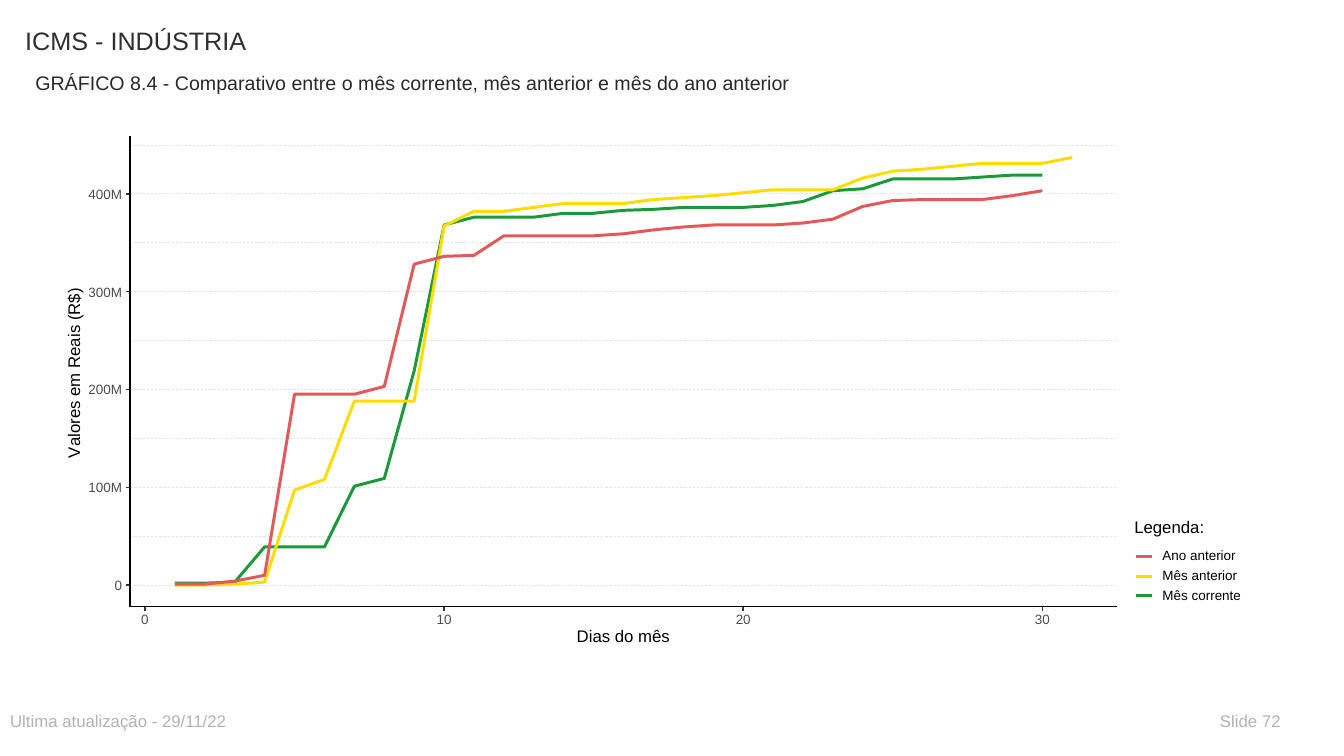
from lxml import etree
from pptx import Presentation
from pptx.chart.data import CategoryChartData
from pptx.dml.color import RGBColor
from pptx.enum.chart import XL_CHART_TYPE as ChartType, XL_TICK_LABEL_POSITION as LabelPosition
from pptx.enum.chart import XL_TICK_MARK as TickMark
from pptx.enum.dml import MSO_LINE_DASH_STYLE as Dash
from pptx.enum.shapes import MSO_CONNECTOR as Connector
from pptx.enum.text import MSO_ANCHOR as Anchor, MSO_AUTO_SIZE as AutoSize, PP_ALIGN as Align
from pptx.oxml.ns import qn
from pptx.util import Inches, Pt

THEME = {
    "font": "Arial",
    "title": (18, "2D2E2D"),
    "subtitle": (14, "292929"),
    "footer": (12, "B2B2B2"),
    "heading": (12, "000000"),
    "legend": (9.6, "000000"),
    "tick": (9.6, "4D4D4D"),
    "axis": (1.16, "000000"),
    "mark": (1.16, "333333"),
    "grid": (0.43, "E3E2E1"),
    "Ano anterior": (2.13, "E35959"),
    "Mês anterior": (2.13, "FFDC00"),
    "Mês corrente": (2.13, "1A9938"),
}
CHART_LEFT, CHART_TOP, CHART_WIDTH, CHART_HEIGHT = 0.6, 1, 11.81, 5.5
PLOT_LEFT, PLOT_TOP, PLOT_WIDTH, PLOT_HEIGHT = 1.29, 1.35, 9.79, 4.67
PLOT_RIGHT, PLOT_BOTTOM = PLOT_LEFT + PLOT_WIDTH, PLOT_TOP + PLOT_HEIGHT
DAYS, LOWEST, HIGHEST = 33, -22, 459

REVENUE = {
    "Mês corrente": [2, 2, 3, 39, 39, 39, 101, 109, 219, 368, 376, 376, 376, 380, 380, 383,
                     384, 386, 386, 386, 388, 392, 403, 405, 415, 415, 415, 417, 419, 419],
    "Mês anterior": [0, 0, 1, 3, 97, 108, 188, 188, 188, 367, 382, 382, 386, 390, 390, 390,
                     394, 396, 398, 401, 404, 404, 404, 416, 423, 425, 428, 431, 431, 431, 437],
    "Ano anterior": [1, 1, 4, 10, 195, 195, 195, 203, 328, 336, 337, 357, 357, 357, 357, 359,
                     363, 366, 368, 368, 368, 370, 374, 387, 393, 394, 394, 394, 398, 403],
}


def style(target, role):
    size, color = THEME[role]
    if hasattr(target, "width"):
        target.width = Pt(size)
    else:
        target.size, target.name, target.bold = Pt(size), THEME["font"], False
    target.color.rgb = RGBColor.from_string(color)


def place(parent, values, inner=False):
    layout = parent.find(qn("c:layout"))
    if layout is None:
        layout = etree.Element(qn("c:layout"))
        parent.insert(0, layout)
    manual = etree.SubElement(layout, qn("c:manualLayout"))
    if inner:
        etree.SubElement(manual, qn("c:layoutTarget"), val="inner")
    for key in ("xMode", "yMode"):
        etree.SubElement(manual, qn(f"c:{key}"), val="edge")
    for key, value in values.items():
        etree.SubElement(manual, qn(f"c:{key}"), val=f"{value:.4f}")


deck = Presentation()
deck.slide_width, deck.slide_height = Inches(13.33), Inches(7.5)
slide = deck.slides.add_slide(deck.slide_layouts[4])
holders = {holder.placeholder_format.idx: holder for holder in slide.placeholders}

for idx, role, wording, left, top, width, height in [
    (0, "title", "ICMS - INDÚSTRIA", 0.15, 0.2, 8, 0.59),
    (1, "subtitle", "GRÁFICO 8.4 - Comparativo entre o mês corrente, mês anterior e mês do ano anterior",
     0.25, 0.65, 8, 0.3),
    (2, "footer", "Ultima atualização - 29/11/22", 0, 7, 6.5, 0.3),
    (3, "footer", "Slide 72", 12, 7, 0.9, 0.3),
]:
    holder = holders.pop(idx)
    holder.left, holder.top = Inches(left), Inches(top)
    holder.width, holder.height = Inches(width), Inches(height)
    frame = holder.text_frame
    frame.text = wording
    frame.auto_size, frame.vertical_anchor = AutoSize.NONE, Anchor.TOP
    line = frame.paragraphs[0]
    properties = line._p.get_or_add_pPr()
    properties.set("marL", "0")
    properties.set("indent", "0")
    etree.SubElement(properties, qn("a:buNone"))
    line.alignment, line.space_before, line.line_spacing = Align.LEFT, Pt(0), 1.0
    style(line.runs[0].font, role)
for unused in holders.values():
    unused._element.getparent().remove(unused._element)

rules = []
labels = [("Legenda:", "heading", Align.LEFT, 11.25, 5.23)]
for amount in range(0, 451, 50):
    y = PLOT_BOTTOM - (amount - LOWEST) / (HIGHEST - LOWEST) * PLOT_HEIGHT
    rules.append(("grid", PLOT_LEFT, y, PLOT_RIGHT, y))
    if amount % 100 == 0:
        rules.append(("mark", PLOT_LEFT - 0.04, y, PLOT_LEFT, y))
        labels.append((f"{amount}M" if amount else "0", "tick", Align.RIGHT, 0.21, y))
for day in range(0, DAYS, 10):
    x = PLOT_LEFT + (day + 0.5) / DAYS * PLOT_WIDTH
    rules.append(("mark", x, PLOT_BOTTOM, x, PLOT_BOTTOM + 0.04))
    labels.append((str(day), "tick", Align.CENTER, x - 0.5, 6.14))
for row, period in enumerate(reversed(REVENUE)):
    y = 5.52 + 0.195 * row
    rules.append((period, 11.27, y, 11.43, y))
    labels.append((period, "legend", Align.LEFT, 11.53, y - 0.01))

for role, x1, y1, x2, y2 in rules:
    rule = slide.shapes.add_connector(Connector.STRAIGHT, Inches(x1), Inches(y1), Inches(x2), Inches(y2))
    style(rule.line, role)
    if role == "grid":
        rule.line.dash_style = Dash.DASH
    etree.SubElement(rule._element.spPr, qn("a:effectLst"))

revenue_data = CategoryChartData()
revenue_data.categories = [str(day) for day in range(DAYS)]
for period, totals in REVENUE.items():
    revenue_data.add_series(period, [None, *totals, *[None] * (DAYS - 1 - len(totals))])
chart = slide.shapes.add_chart(
    ChartType.LINE, Inches(CHART_LEFT), Inches(CHART_TOP),
    Inches(CHART_WIDTH), Inches(CHART_HEIGHT), revenue_data).chart
chart.has_legend = chart.has_title = False
style(chart.font, "tick")
chart.plots[0].vary_by_categories = False
for series in chart.plots[0].series:
    series.smooth = False
    style(series.format.line, series.name)

days, reais = chart.category_axis, chart.value_axis
reais.minimum_scale, reais.maximum_scale, reais.major_unit = LOWEST, HIGHEST, 100
for axis, heading, left, top in [
    (days, "Dias do mês", 5.69, 6.18),
    (reais, "Valores em Reais (R$)", 0.57, 2.83),
]:
    for key, value in {"major_tick_mark": TickMark.NONE, "minor_tick_mark": TickMark.NONE,
                       "tick_label_position": LabelPosition.NONE, "has_major_gridlines": False,
                       "has_minor_gridlines": False}.items():
        setattr(axis, key, value)
    style(axis.format.line, "axis")
    axis._element.find(qn("c:crosses")).set("val", "min")
    title = axis.axis_title
    title.text_frame.text = heading
    style(title.text_frame.paragraphs[0].runs[0].font, "heading")
    place(title._element, {"x": (left - CHART_LEFT) / CHART_WIDTH, "y": (top - CHART_TOP) / CHART_HEIGHT})

plot_area = chart._chartSpace.chart.plotArea
place(plot_area, {
    "x": (PLOT_LEFT - CHART_LEFT) / CHART_WIDTH, "y": (PLOT_TOP - CHART_TOP) / CHART_HEIGHT,
    "w": PLOT_WIDTH / CHART_WIDTH, "h": PLOT_HEIGHT / CHART_HEIGHT}, inner=True)
plot_look, chart_look = etree.SubElement(plot_area, qn("c:spPr")), etree.Element(qn("c:spPr"))
chart._chartSpace.chart.addnext(chart_look)
for look in (plot_look, chart_look):
    etree.SubElement(look, qn("a:noFill"))
    etree.SubElement(etree.SubElement(look, qn("a:ln")), qn("a:noFill"))

for wording, role, alignment, left, middle in labels:
    label = slide.shapes.add_textbox(Inches(left), Inches(middle - 0.1), Inches(1), Inches(0.2))
    frame = label.text_frame
    frame.word_wrap, frame.vertical_anchor = True, Anchor.MIDDLE
    for side in ("left", "right", "top", "bottom"):
        setattr(frame, f"margin_{side}", 0)
    frame.text = wording
    frame.paragraphs[0].alignment = alignment
    style(frame.paragraphs[0].runs[0].font, role)

deck.save("out.pptx")
